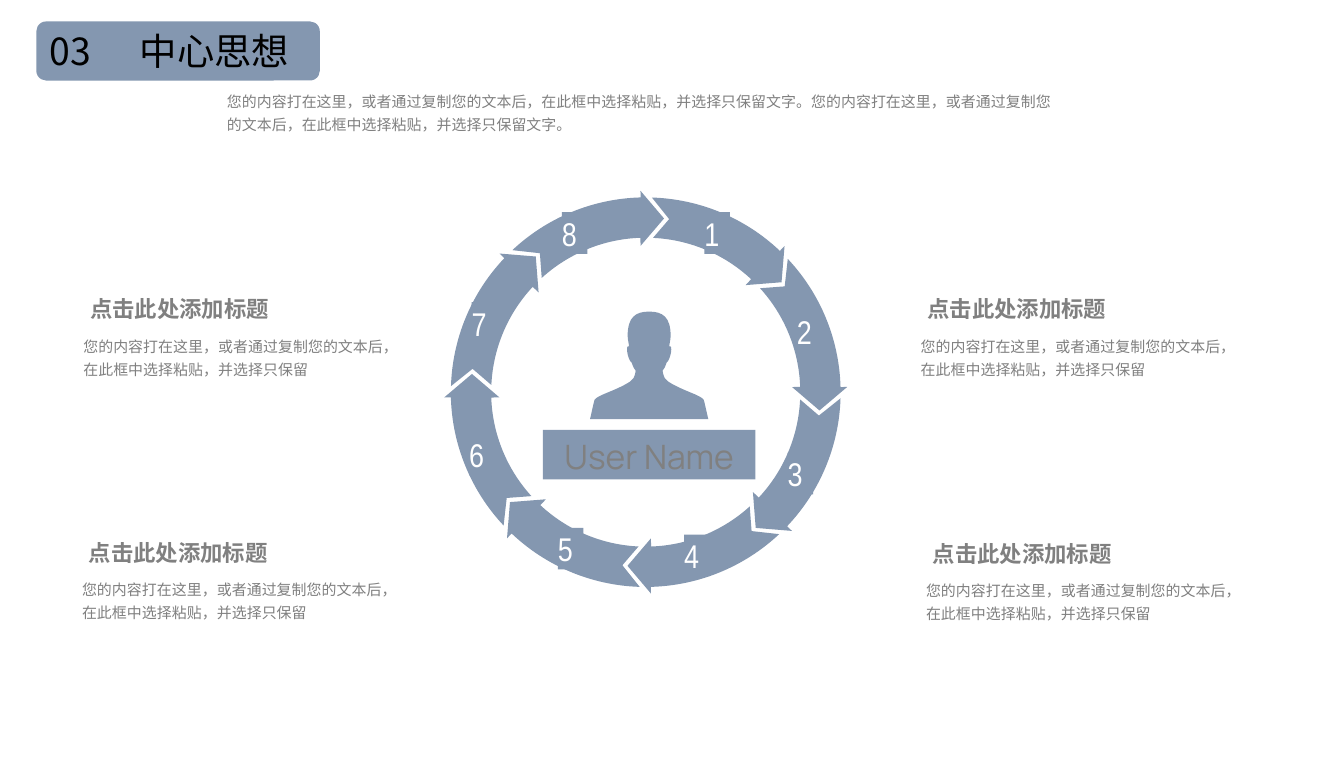
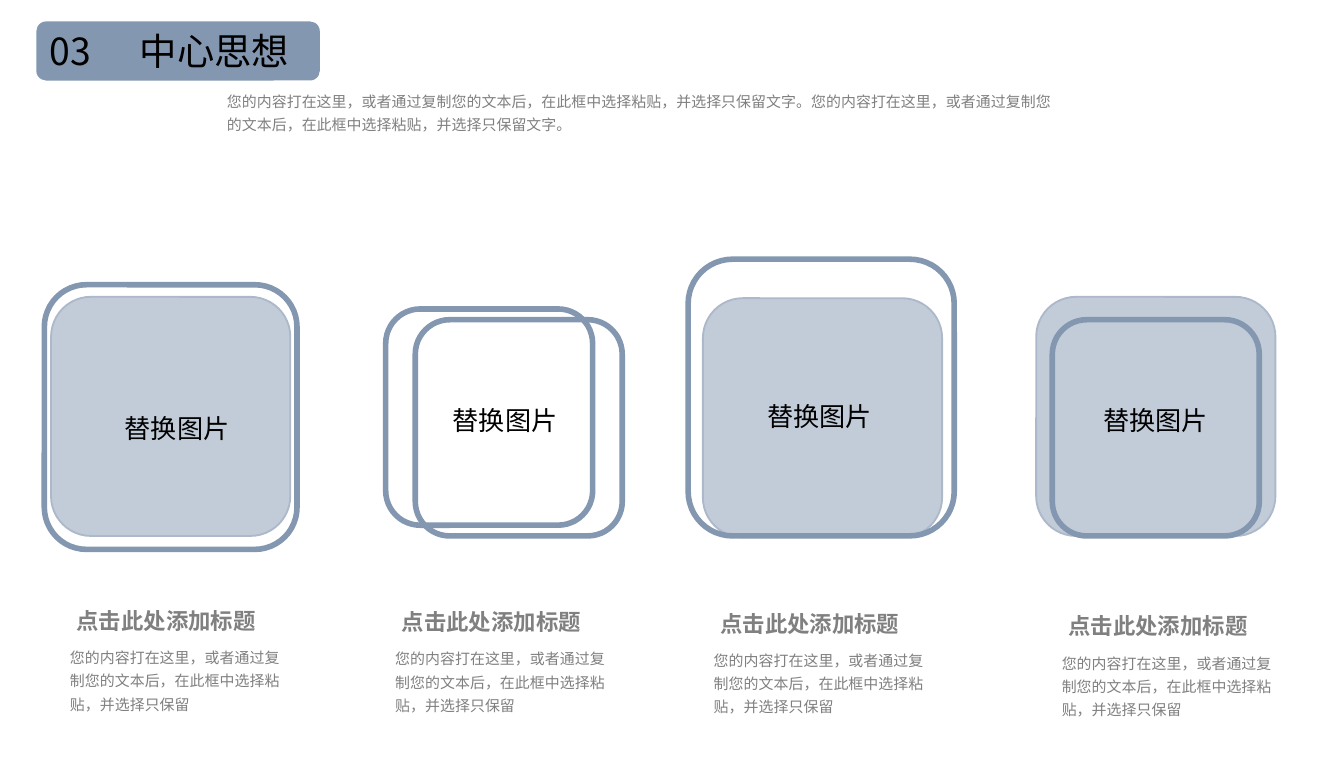
from dataclasses import dataclass, field
from math import cos, radians, sin, tan

from lxml.etree import SubElement
from pptx import Presentation
from pptx.dml.color import RGBColor
from pptx.enum.shapes import MSO_SHAPE
from pptx.enum.text import MSO_ANCHOR, MSO_AUTO_SIZE, PP_ALIGN
from pptx.oxml.ns import qn
from pptx.util import Inches, Pt


def text_format(size, color, font="Noto Sans CJK SC", bold=False, spacing=1.0,
                align=PP_ALIGN.LEFT):
    """Return the font and paragraph values of one text style."""
    return {
        "font": {"name": font, "size": Pt(size), "bold": bold},
        "color": RGBColor.from_string(color),
        "paragraph": {"line_spacing": spacing, "alignment": align},
    }


def frame_format(horizontal=0.1, vertical=0.05, wrap=True, anchor=MSO_ANCHOR.TOP,
                 auto_size=MSO_AUTO_SIZE.SHAPE_TO_FIT_TEXT):
    """Return the text frame values of one kind of box."""
    return {
        "margin_left": Inches(horizontal), "margin_right": Inches(horizontal),
        "margin_top": Inches(vertical), "margin_bottom": Inches(vertical),
        "word_wrap": wrap, "vertical_anchor": anchor, "auto_size": auto_size,
    }


@dataclass(frozen=True)
class Theme:
    """Colours, text styles and frame styles of the deck."""

    accent: RGBColor = RGBColor.from_string("8497B0")
    card_edge: RGBColor = RGBColor.from_string("ADB9CA")
    veil: RGBColor = RGBColor.from_string("FFFFFF")
    card_alpha: int = 49
    veil_alpha: int = 90
    frame_width: float = 3
    title: dict = field(default_factory=lambda: text_format(20, "000000"))
    body: dict = field(default_factory=lambda: text_format(8, "808080", spacing=1.3))
    heading: dict = field(default_factory=lambda: text_format(
        12, "808080", bold=True, spacing=1.5))
    label: dict = field(default_factory=lambda: text_format(14, "000000"))
    number: dict = field(default_factory=lambda: text_format(17.6, "FFFFFF", "Arial Narrow"))
    user: dict = field(default_factory=lambda: text_format(
        18, "808080", "Manrope", align=PP_ALIGN.CENTER))
    roomy: dict = field(default_factory=frame_format)
    snug: dict = field(default_factory=lambda: frame_format(0.07, 0.04))
    unwrapped: dict = field(default_factory=lambda: frame_format(wrap=False))
    tight: dict = field(default_factory=lambda: frame_format(
        0, 0, anchor=MSO_ANCHOR.MIDDLE, auto_size=MSO_AUTO_SIZE.NONE))


THEME = Theme()
SECTION_NUMBER = "03"
SECTION_TITLE = "中心思想"
SENTENCE = "您的内容打在这里，或者通过复制您的文本后，在此框中选择粘贴，并选择只保留"
HEADING = "点击此处添加标题"
PLACEHOLDER_LABEL = "替换图片"

RING_CENTER = (4.805, 2.92)
RING_OUTER, RING_INNER = 1.45, 1.15
NUMBER_PLACES = [(5.24, 1.58), (5.93, 2.31), (5.86, 3.37), (5.09, 3.98),
                 (4.15, 3.93), (3.49, 3.23), (3.51, 2.25), (4.18, 1.58)]
RING_CAPTIONS = [(0.6, 2.06), (6.83, 2.06), (0.59, 3.87), (6.87, 3.88)]

USER_AXIS = 4.83
USER_HALF = [
    [(0, 2.32), (0.1, 2.32), (0.16, 2.36), (0.16, 2.5)],
    [(0.16, 2.5), (0.16, 2.53), (0.15, 2.56), (0.15, 2.58)],
    [(0.15, 2.58), (0.18, 2.56), (0.16, 2.68), (0.13, 2.7)],
    [(0.13, 2.7), (0.12, 2.73), (0.11, 2.75), (0.1, 2.76)],
    [(0.1, 2.76), (0.11, 2.82), (0.12, 2.82), (0.14, 2.84)],
    [(0.14, 2.84), (0.2, 2.88), (0.28, 2.91), (0.35, 2.94)],
    [(0.35, 2.94), (0.39, 2.96), (0.41, 2.97), (0.41, 2.99)],
    [(0.41, 2.99), (0.42, 3.03), (0.43, 3.08), (0.44, 3.12)],
]

CARDS = [(7.71, 2.21), (5.23, 2.22), (0.38, 2.21)]
FRAMES = [(2.87, 2.3, 1.54, 1.61), (5.12, 1.93, 1.98, 2.06), (7.83, 2.38, 1.54, 1.61),
          (3.09, 2.38, 1.54, 1.61), (0.33, 2.12, 1.88, 1.97)]
CARD_CAPTIONS = [(0.5, 4.38), (2.92, 4.39), (5.29, 4.4), (7.88, 4.42)]
CARD_LABELS = [(0.83, 3.02), (3.27, 2.96), (5.61, 2.93), (8.11, 2.96)]


def apply_values(target, values):
    """Set each named attribute of the target."""
    for name, value in values.items():
        setattr(target, name, value)


def write(shape, text, style, frame):
    """Put one styled paragraph into a shape."""
    apply_values(shape.text_frame, frame)
    paragraph = shape.text_frame.paragraphs[0]
    apply_values(paragraph, style["paragraph"])
    run = paragraph.add_run()
    run.text = text
    apply_values(run.font, style["font"])
    run.font.color.rgb = style["color"]
    east_asian = SubElement(run.font._element, qn("a:ea"))
    east_asian.set("typeface", style["font"]["name"])


def add_text(slide, box, text, style, frame):
    """Add a text box."""
    shape = slide.shapes.add_textbox(*map(Inches, box))
    write(shape, text, style, frame)


def paint(shape, color=THEME.accent, alpha=100):
    """Give a shape a plain fill without line or shadow."""
    shape.shadow.inherit = False
    shape.fill.solid()
    shape.fill.fore_color.rgb = color
    shape.line.fill.background()
    if alpha < 100:
        fill_color = shape.element.spPr.find(qn("a:solidFill"))[0]
        SubElement(fill_color, qn("a:alpha")).set("val", str(alpha * 1000))
    return shape


def add_block(shapes, box, kind=MSO_SHAPE.RECTANGLE, **look):
    """Add a filled preset shape."""
    return paint(shapes.add_shape(kind, *map(Inches, box)), **look)


def add_outline(shapes, start, steps):
    """Add a closed outline of one-point lines and three-point curves."""
    builder = shapes.build_freeform(*map(Inches, start))
    builder.add_line_segments([tuple(map(Inches, step[-1])) for step in steps], close=True)
    shape = paint(builder.convert_to_shape())
    for line, step in zip(list(shape.element.iter(qn("a:lnTo"))), steps):
        if len(step) == 3:
            line.tag = qn("a:cubicBezTo")
            line.remove(line[0])
            for x, y in step:
                point = SubElement(line, qn("a:pt"))
                point.set("x", str(Inches(x) - shape.left))
                point.set("y", str(Inches(y) - shape.top))


def add_header(slide):
    """Add the section band, its number and title, and the introduction."""
    add_block(slide.shapes, (0.27, 0.16, 2.11, 0.44), MSO_SHAPE.ROUNDED_RECTANGLE)
    add_text(slide, (0.27, 0.16, 0.53, 0.44), SECTION_NUMBER, THEME.title, THEME.unwrapped)
    title = slide.shapes.title
    title.element.getparent().append(title.element)
    place = dict(zip(("left", "top", "width", "height"), map(Inches, (0.94, 0.16, 1.32, 0.44))))
    apply_values(title, place)
    write(title, SECTION_TITLE, THEME.title, THEME.unwrapped)
    add_text(slide, (1.59, 0.6, 6.44, 0.43), (SENTENCE + "文字。") * 2, THEME.body, THEME.roomy)


def add_caption(slide, left, top, heading_width, body_width, body_height):
    """Add a bold heading with its text below."""
    add_text(slide, (left, top, heading_width, 0.38), HEADING, THEME.heading, THEME.snug)
    add_text(slide, (left - 0.05, top + 0.37, body_width, body_height), SENTENCE,
             THEME.body, THEME.snug)


def ring_point(radius, degrees, along=0):
    """Return a ring point at a clockwise angle, moved along its tangent."""
    angle = radians(degrees)
    return (RING_CENTER[0] + radius * sin(angle) + along * cos(angle),
            RING_CENTER[1] - radius * cos(angle) + along * sin(angle))


def ring_arc(radius, first, last):
    """Return the curve step along an arc of the ring."""
    reach = 4 / 3 * tan(radians(last - first) / 4) * radius
    return [ring_point(radius, first, reach), ring_point(radius, last, -reach),
            ring_point(radius, last)]


def add_ring_arrow(shapes, turn):
    """Add one curved arrow of the ring."""
    start = ring_point(RING_OUTER, turn + 1.8)
    notch, inner_start, *head = [
        [ring_point(radius, turn + degrees)] for radius, degrees in
        ((1.3, 7.7), (RING_INNER, 2.7), (1.09, 43), (1.3, 51), (1.5, 43.5), (RING_OUTER, 43.5))]
    add_outline(shapes, start, [notch, inner_start, ring_arc(RING_INNER, turn + 2.7, turn + 43),
                                *head, ring_arc(RING_OUTER, turn + 43.5, turn + 1.8)])


def add_ring(slide):
    """Add the ring of numbered arrows."""
    shapes = slide.shapes.add_group_shape().shapes
    step = 360 / len(NUMBER_PLACES)
    for index, place in enumerate(NUMBER_PLACES):
        add_ring_arrow(shapes, index * step)
        number = add_block(shapes, (*place, 0.19, 0.31))
        write(number, str(index + 1), THEME.number, THEME.tight)


def add_user(slide):
    """Add the user silhouette and name plate."""
    shapes = slide.shapes.add_group_shape().shapes
    right = [[(USER_AXIS + x, y) for x, y in curve] for curve in USER_HALF]
    left = [[(USER_AXIS - x, y) for x, y in reversed(curve)] for curve in reversed(USER_HALF)]
    steps = [curve[1:] for curve in right] + [left[0][:1]] + [curve[1:] for curve in left]
    add_outline(shapes, right[0][0], steps)
    plate = add_block(shapes, (4.04, 3.2, 1.58, 0.37))
    write(plate, "User Name", THEME.user, THEME.roomy)


def add_card(slide, left, top):
    """Add a translucent rounded card."""
    card = add_block(slide.shapes, (left, top, 1.78, 1.78), MSO_SHAPE.ROUNDED_RECTANGLE,
                     alpha=THEME.card_alpha)
    card.line.color.rgb = THEME.card_edge
    card.line.width = Pt(1)


def add_frame(slide, box):
    """Add an unfilled rounded frame."""
    frame = add_block(slide.shapes, box, MSO_SHAPE.ROUNDED_RECTANGLE)
    frame.fill.background()
    frame.line.color.rgb = THEME.accent
    frame.line.width = Pt(THEME.frame_width)


def add_master_veil(presentation, slide):
    """Add the translucent white panel behind every slide."""
    veil = add_block(slide.shapes, (0, 0.24, 10, 5.22), color=THEME.veil,
                     alpha=THEME.veil_alpha)
    presentation.slide_master.shapes[0].element.addprevious(veil.element)


def add_section_slide(presentation):
    """Add a slide with the shared header."""
    slide = presentation.slides.add_slide(presentation.slide_layouts.get_by_name("Title Only"))
    add_header(slide)
    return slide


def build_ring_slide(presentation):
    """Build the slide with the arrow ring."""
    slide = add_section_slide(presentation)
    add_ring(slide)
    add_user(slide)
    for place in RING_CAPTIONS:
        add_caption(slide, *place, heading_width=3.2, body_width=2.42, body_height=0.43)
    add_master_veil(presentation, slide)


def build_card_slide(presentation):
    """Build the slide with four framed cards."""
    slide = add_section_slide(presentation)
    for place in CARDS:
        add_card(slide, *place)
    for box in FRAMES:
        add_frame(slide, box)
    for place in CARD_CAPTIONS:
        add_caption(slide, *place, heading_width=2.27, body_width=1.72, body_height=0.6)
    for place in CARD_LABELS:
        add_text(slide, (*place, 0.99, 0.34), PLACEHOLDER_LABEL, THEME.label, THEME.unwrapped)


def main():
    """Build and save the presentation."""
    presentation = Presentation()
    presentation.slide_width = Inches(10)
    presentation.slide_height = Inches(5.71)
    build_ring_slide(presentation)
    build_card_slide(presentation)
    presentation.save("out.pptx")


if __name__ == "__main__":
    main()
